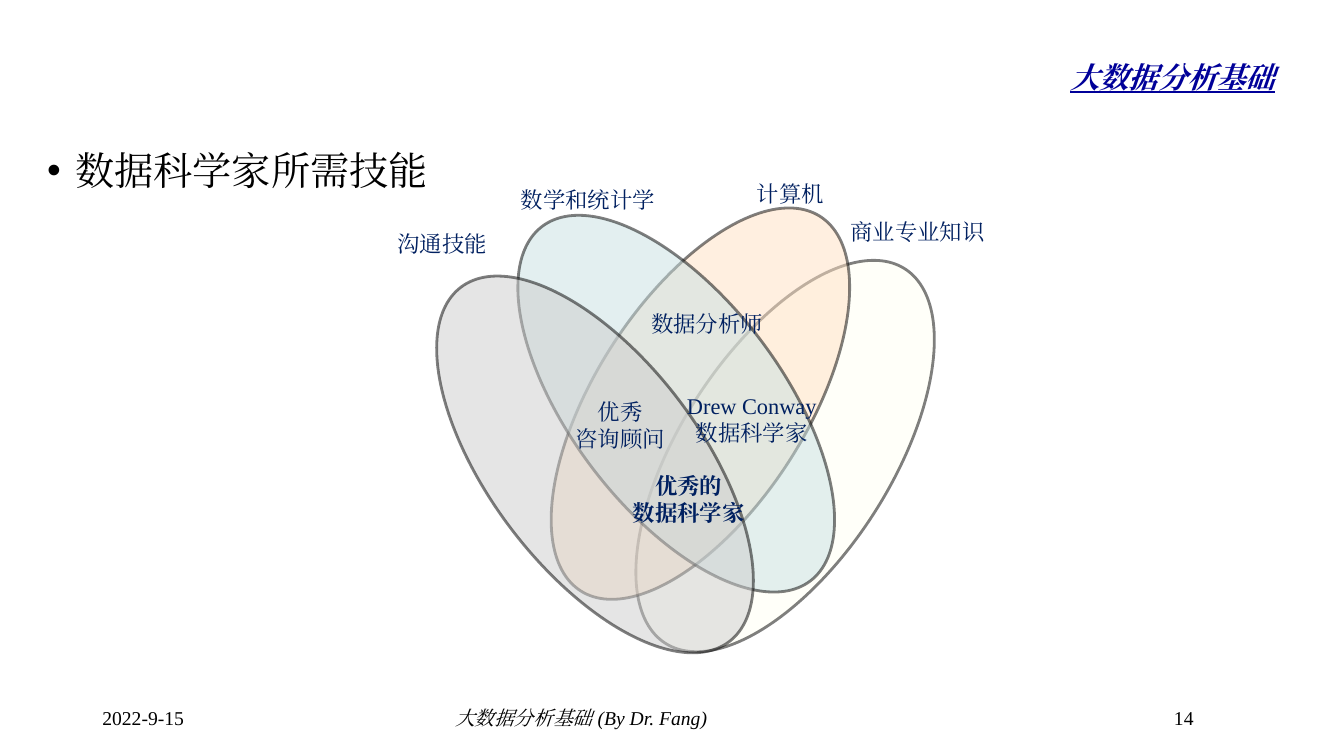
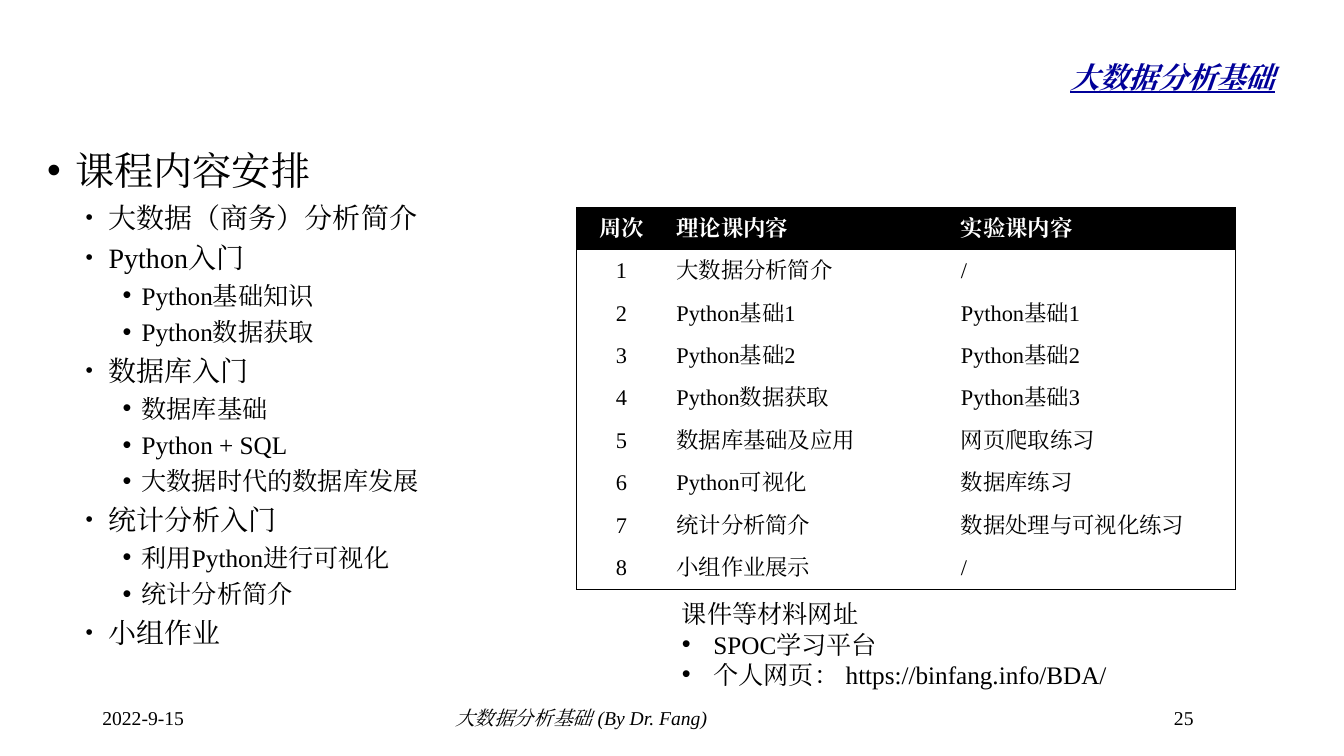
from lxml import etree
from pptx import Presentation
from pptx.dml.color import RGBColor
from pptx.enum import shapes, text
from pptx.oxml.ns import qn
from pptx.util import Pt

BLACK = RGBColor(0x00, 0x00, 0x00)
WHITE = RGBColor(0xFF, 0xFF, 0xFF)
TITLE_BLUE = RGBColor(0x00, 0x00, 0x99)
NAVY = RGBColor(0x00, 0x20, 0x60)
IVORY = RGBColor(0xFF, 0xFF, 0xF5)
PEACH = RGBColor(0xFF, 0xE0, 0xC2)
TEAL = RGBColor(0xC8, 0xE0, 0xE2)
GREY = RGBColor(0xCC, 0xCC, 0xCC)

FONT = "Times New Roman"
COURSE = "大数据分析基础"
DATE = "2022-9-15"
LEFT, CENTER, RIGHT = text.PP_ALIGN.LEFT, text.PP_ALIGN.CENTER, text.PP_ALIGN.RIGHT
NO_GRID_STYLE = "{2D5ABB26-0587-4C30-8999-92F81FD0307C}"

# outline level: (size, left margin, hanging indent, bullet size in percent)
LEVELS = [(28, 20.25, 20.25, 100), (20, 44, 16.5, 75), (18, 67.5, 13.5, 100)]


def write(p, content, size=18, color=BLACK, bold=False, italic=False,
          align=LEFT, spacing=None):
    """Add one formatted run to a paragraph and return the run."""
    p.alignment = align
    if spacing:
        p.line_spacing = spacing
    r = p.add_run()
    r.text = content
    f = r.font
    f.size, f.bold, f.italic, f.name = Pt(size), bold, italic, FONT
    f.color.rgb = color
    etree.SubElement(f._element, qn("a:ea"), typeface=FONT)
    return r


def bullet(p, margin, hanging, percent=100):
    pPr = p._p.get_or_add_pPr()
    pPr.set("marL", str(Pt(margin)))
    pPr.set("indent", str(-Pt(hanging)))
    etree.SubElement(pPr, qn("a:buSzPct"), val=str(percent * 1000))
    etree.SubElement(pPr, qn("a:buFont"), typeface="Arial")
    etree.SubElement(pPr, qn("a:buChar"), char="•")


def border(cell, side):
    """Draw a thin black border on one side: L, R, T or B."""
    ln = etree.SubElement(cell._tc.get_or_add_tcPr(), qn(f"a:ln{side}"), w=str(Pt(0.75)))
    fill = etree.SubElement(ln, qn("a:solidFill"))
    etree.SubElement(fill, qn("a:srgbClr"), val=str(BLACK))


def paragraphs(tf, count):
    return [tf.paragraphs[0]] + [tf.add_paragraph() for _ in range(count - 1)]


class Deck:
    """Holds the presentation, its shared style and the current slide."""

    def __init__(self):
        self.prs = Presentation()
        self.prs.slide_width, self.prs.slide_height = Pt(960), Pt(540)
        self.s = None

    def slide(self, number):
        self.s = self.prs.slides.add_slide(self.prs.slide_layouts[5])
        title = self.s.shapes.title
        title.left, title.top, title.width, title.height = Pt(140), Pt(3.6), Pt(778), Pt(79)
        tf = title.text_frame
        tf.auto_size = text.MSO_AUTO_SIZE.NONE
        tf.vertical_anchor = text.MSO_ANCHOR.MIDDLE
        r = write(tf.paragraphs[0], COURSE, size=36, color=TITLE_BLUE,
                  bold=True, italic=True, align=RIGHT)
        r.font.underline = True
        r.font._element.set("baseline", "-25000")
        self.text([DATE], 66, 500.4, 216, 29, size=14)
        self.text([f"{COURSE} (By Dr. Fang)"], 318, 500.4, 462, 29, size=14, italic=True)
        self.text([str(number)], 831.5, 500.4, 63, 29, size=14)

    def frame(self, x, y, w, h, wrap=True):
        tf = self.s.shapes.add_textbox(Pt(x), Pt(y), Pt(w), Pt(h)).text_frame
        tf.word_wrap = wrap
        return tf

    def text(self, lines, x, y, w, h, wrap=True, **fmt):
        ps = paragraphs(self.frame(x, y, w, h, wrap), len(lines))
        for p, line in zip(ps, lines):
            write(p, line, **fmt)
        return ps

    def outline(self, items):
        """Write the body from (level, wording) pairs."""
        ps = paragraphs(self.frame(26.5, 94.3, 907, 402), len(items))
        for p, (level, line) in zip(ps, items):
            size, *indent = LEVELS[level]
            write(p, line, size=size, spacing=1.2)
            bullet(p, *indent)

    def ellipse(self, x, y, rotation, color):
        sp = self.s.shapes.add_shape(shapes.MSO_SHAPE.OVAL, Pt(x), Pt(y), Pt(151), Pt(317.5))
        sp.rotation = rotation
        sp.shadow.inherit = False
        sp.fill.solid()
        sp.fill.fore_color.rgb = color
        sp.line.width = Pt(2)
        sp.line.color.rgb = BLACK
        for clr in sp._element.spPr.iter(qn("a:srgbClr")):
            etree.SubElement(clr, qn("a:alpha"), val="50000")

    def label(self, line, x, y, spacing=None):
        self.text([line], x, y, 16 * len(line) + 16, 30, wrap=False,
                  size=16, color=NAVY, spacing=spacing)

    def overlap(self, lines, center, y, bold=False):
        """Write a two-line label centred on a horizontal position."""
        self.text(lines, center - 60, y, 120, 55, wrap=False,
                  size=16, color=NAVY, bold=bold, align=CENTER)

    def table(self, rows, x, y, widths, row_height):
        last_row, last_col = len(rows) - 1, len(widths) - 1
        gf = self.s.shapes.add_table(len(rows), len(widths), Pt(x), Pt(y),
                                     Pt(sum(widths)), Pt(row_height * len(rows)))
        for style in gf._element.iter(qn("a:tableStyleId")):
            style.text = NO_GRID_STYLE
        tbl = gf.table
        tbl.horz_banding = False
        for col, width in zip(tbl.columns, widths):
            col.width = Pt(width)
        for i, row in enumerate(rows):
            tbl.rows[i].height = Pt(row_height)
            for j, content in enumerate(row):
                cell = tbl.cell(i, j)
                edges = {"L": j == 0, "R": j == last_col, "T": i == 0, "B": i == last_row}
                for side, outer in edges.items():
                    if outer:
                        border(cell, side)
                cell.fill.solid()
                cell.fill.fore_color.rgb = WHITE if i else BLACK
                cell.vertical_anchor = text.MSO_ANCHOR.MIDDLE
                write(cell.text_frame.paragraphs[0], content, size=16,
                      color=BLACK if i else WHITE, bold=i == 0,
                      align=LEFT if j else CENTER)


def skills_slide(deck):
    deck.slide(14)
    deck.outline([(0, "数据科学家所需技能")])
    deck.ellipse(485.3, 167, 32.6, IVORY)
    deck.ellipse(424.8, 129.6, 32.6, PEACH)
    deck.ellipse(407.5, 129.6, 322.9, TEAL)
    deck.ellipse(349.5, 173, 322.9, GREY)
    deck.label("数学和统计学", 365, 125.3, spacing=1.2)
    deck.label("计算机", 533.5, 121, spacing=1.2)
    deck.label("商业专业知识", 600.5, 152.6)
    deck.label("沟通技能", 277, 160.5)
    deck.label("数据分析师", 458, 218)
    deck.overlap(["优秀", "咨询顾问"], 443, 280.8)
    deck.overlap(["Drew Conway", "数据科学家"], 537, 276.5)
    deck.overlap(["优秀的", "数据科学家"], 492, 334, bold=True)


def schedule_slide(deck):
    deck.slide(25)
    deck.outline([
        (0, "课程内容安排"),
        (1, "大数据（商务）分析简介"),
        (1, "Python入门"),
        (2, "Python基础知识"),
        (2, "Python数据获取"),
        (1, "数据库入门"),
        (2, "数据库基础"),
        (2, "Python + SQL"),
        (2, "大数据时代的数据库发展"),
        (1, "统计分析入门"),
        (2, "利用Python进行可视化"),
        (2, "统计分析简介"),
        (1, "小组作业"),
    ])
    lessons = [
        ("大数据分析简介", "/"),
        ("Python基础1", "Python基础1"),
        ("Python基础2", "Python基础2"),
        ("Python数据获取", "Python基础3"),
        ("数据库基础及应用", "网页爬取练习"),
        ("Python可视化", "数据库练习"),
        ("统计分析简介", "数据处理与可视化练习"),
        ("小组作业展示", "/"),
    ]
    rows = [("周次", "理论课内容", "实验课内容")]
    rows += [(str(week), *lesson) for week, lesson in enumerate(lessons, 1)]
    deck.table(rows, 412, 148.3, [64, 203.2, 203.2], 30.3)
    _, *links = deck.text(["课件等材料网址", "SPOC学习平台", "个人网页： https://binfang.info/BDA/"],
                          480, 424, 351.5, 73)
    for p in links:
        bullet(p, 22.5, 22.5)


def main():
    deck = Deck()
    skills_slide(deck)
    schedule_slide(deck)
    deck.prs.save("out.pptx")


if __name__ == "__main__":
    main()
